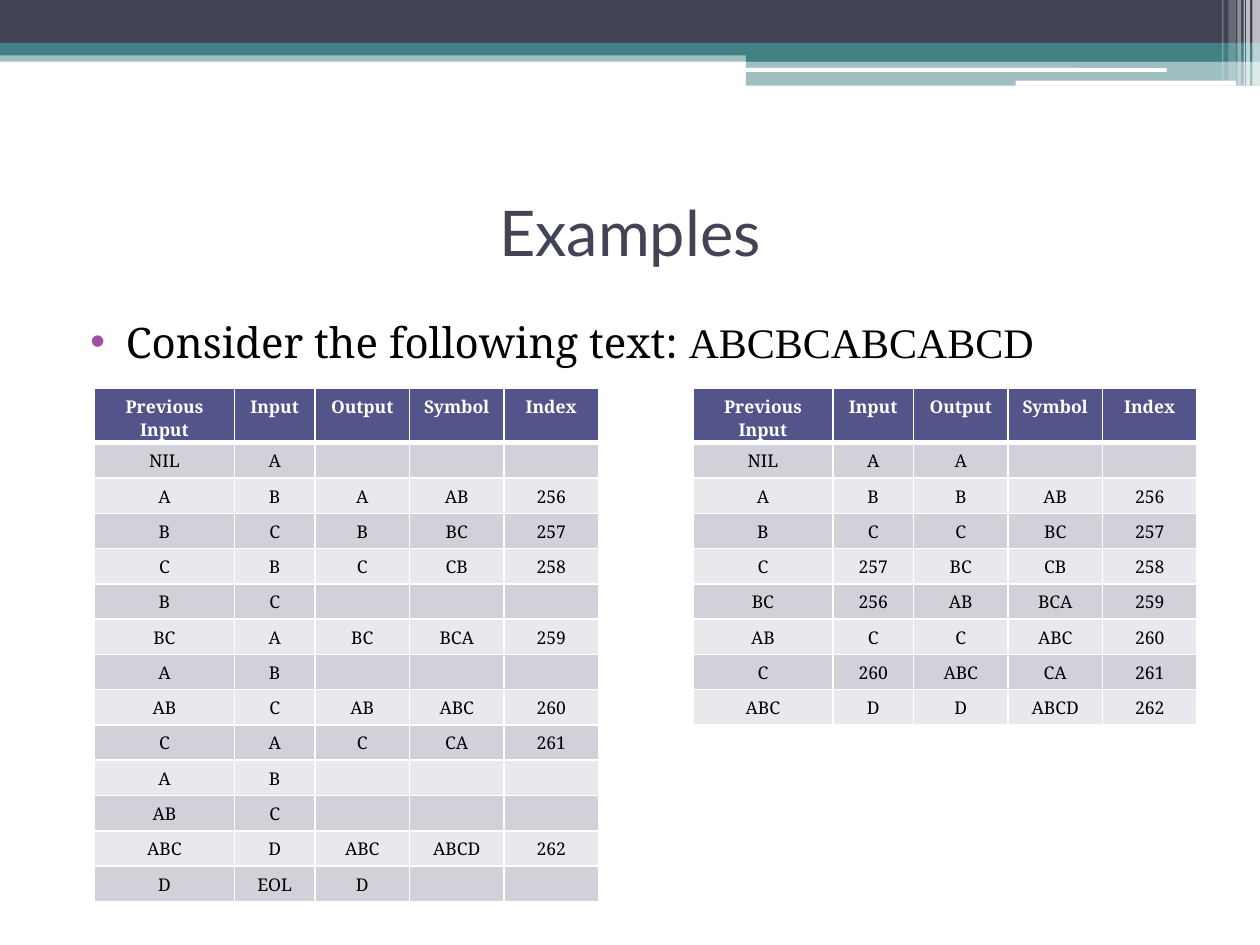
from lxml.etree import SubElement
from pptx import Presentation
from pptx.dml.color import RGBColor
from pptx.enum.shapes import MSO_SHAPE as SHAPE
from pptx.enum.text import MSO_ANCHOR as ANCHOR, PP_ALIGN as ALIGN
from pptx.oxml.ns import qn
from pptx.util import Inches, Pt

NAVY, TEAL, WHITE, BLACK = "424456", "438086", "FFFFFF", "000000"
HEADER, BANDS, BULLET = "53548A", ("E9E9ED", "D1D1DA"), "A04DA3"
SERIF = "Noto Serif"


def rgb(color):
    """Turn a hex string into a colour."""
    return RGBColor.from_string(color)


def add_fill(parent, color):
    """Add a solid fill element to an XML parent."""
    SubElement(SubElement(parent, qn("a:solidFill")), qn("a:srgbClr"), val=color)


class SlideBuilder:
    """Holds the style and the current slide."""

    col_widths = (1.11, 0.64, 0.75, 0.75, 0.75)
    row_height = 0.28
    cell_format = {"size": Pt(10), "name": SERIF}

    def __init__(self, prs):
        """Start a blank slide."""
        self.shapes = prs.slides.add_slide(prs.slide_layouts[6]).shapes

    def bar(self, x, y, w, h, color, alpha=100, rounded=False):
        """Add a plain bar, with its opacity in percent."""
        kind = SHAPE.ROUNDED_RECTANGLE if rounded else SHAPE.RECTANGLE
        sp = self.shapes.add_shape(kind, *map(Inches, (x, y, w, h)))
        sp.shadow.inherit = False
        sp.line.fill.background()
        sp.fill.solid()
        sp.fill.fore_color.rgb = rgb(color)
        if alpha < 100:
            clr = sp._element.spPr.find(qn("a:solidFill"))[0]
            SubElement(clr, qn("a:alpha"), val=str(alpha * 1000))

    def run(self, p, text, color, **fmt):
        """Add a formatted run to a paragraph."""
        r = p.add_run()
        r.text = text
        r.font.color.rgb = rgb(color)
        for key, value in fmt.items():
            setattr(r.font, key, value)

    def text(self, x, y, w, h, align, anchor=ANCHOR.TOP):
        """Add a wrapping text box and return its first paragraph."""
        tf = self.shapes.add_textbox(*map(Inches, (x, y, w, h))).text_frame
        tf.word_wrap = True
        tf.vertical_anchor = anchor
        p = tf.paragraphs[0]
        p.alignment = align
        return p

    def bullet(self, p, color, indent, hang):
        """Give a paragraph a coloured bullet and a hanging indent."""
        pPr = p._p.get_or_add_pPr()
        pPr.set("marL", str(Inches(indent)))
        pPr.set("indent", str(-Inches(hang)))
        SubElement(SubElement(pPr, qn("a:buClr")), qn("a:srgbClr"), val=color)
        SubElement(pPr, qn("a:buFont"), typeface="Arial")
        SubElement(pPr, qn("a:buChar"), char="\u2022")

    def cell(self, cell, text, row):
        """Fill, border and write one table cell."""
        tcPr = cell._tc.get_or_add_tcPr()
        thick = {0: "lnB", 1: "lnT"}.get(row)
        for side in ("lnL", "lnR", "lnT", "lnB"):
            width = Pt(3 if side == thick else 1)
            add_fill(SubElement(tcPr, qn(f"a:{side}"), w=str(width)), WHITE)
        cell.fill.solid()
        cell.fill.fore_color.rgb = rgb(BANDS[row % 2] if row else HEADER)
        p = cell.text_frame.paragraphs[0]
        p.alignment = ALIGN.CENTER
        if text:
            self.run(p, text, BLACK if row else WHITE, bold=row == 0, **self.cell_format)
        else:
            end = SubElement(p._p, qn("a:endParaRPr"), sz="1000")
            SubElement(end, qn("a:latin"), typeface=SERIF)

    def table(self, x, y, rows):
        """Add a banded table with a header row."""
        w, h = sum(self.col_widths), self.row_height * len(rows)
        size = map(Inches, (x, y, w, h))
        table = self.shapes.add_table(len(rows), len(self.col_widths), *size).table
        for col, width in zip(table.columns, self.col_widths):
            col.width = Inches(width)
        for i, values in enumerate(rows):
            table.rows[i].height = Inches(self.row_height)
            for j, value in enumerate(values):
                self.cell(table.cell(i, j), value, i)


COLUMNS = ("Previous Input", "Input", "Output", "Symbol", "Index")
ENCODING = [
    COLUMNS,
    ("NIL", "A", "", "", ""),
    ("A", "B", "A", "AB", "256"),
    ("B", "C", "B", "BC", "257"),
    ("C", "B", "C", "CB", "258"),
    ("B", "C", "", "", ""),
    ("BC", "A", "BC", "BCA", "259"),
    ("A", "B", "", "", ""),
    ("AB", "C", "AB", "ABC", "260"),
    ("C", "A", "C", "CA", "261"),
    ("A", "B", "", "", ""),
    ("AB", "C", "", "", ""),
    ("ABC", "D", "ABC", "ABCD", "262"),
    ("D", "EOL", "D", "", ""),
]
DECODING = [
    COLUMNS,
    ("NIL", "A", "A", "", ""),
    ("A", "B", "B", "AB", "256"),
    ("B", "C", "C", "BC", "257"),
    ("C", "257", "BC", "CB", "258"),
    ("BC", "256", "AB", "BCA", "259"),
    ("AB", "C", "C", "ABC", "260"),
    ("C", "260", "ABC", "CA", "261"),
    ("ABC", "D", "D", "ABCD", "262"),
]
BANNER = [
    (0, 0.4, 10, 0.09, TEAL, 50),
    (0, 0, 10, 0.34, NAVY),
    (0, 0.34, 10, 0.1, TEAL),
    (5.92, 0.39, 4.08, 0.1, TEAL),
    (5.92, 0.48, 4.08, 0.2, TEAL, 50),
    (5.91, 0.54, 3.35, 0.03, WHITE, 100, True),
    (8.06, 0.64, 1.75, 0.04, WHITE, 100, True),
]
# Left, width, height and opacity of the stripes at the right edge
STRIPES = [
    (9.94, 0.06, 0.68, 65),
    (9.89, 0.03, 0.68, 65),
    (9.87, 0.01, 0.68, 60),
    (9.82, 0.03, 0.68, 40),
    (9.75, 0.06, 0.64, 20),
    (9.7, 0.01, 0.64, 30),
]

prs = Presentation()
prs.slide_width, prs.slide_height = Inches(10), Inches(7.5)
s = SlideBuilder(prs)

for bar in BANNER:
    s.bar(*bar)
for x, w, h, alpha in STRIPES:
    s.bar(x, 0, w, h, WHITE, alpha)

p = s.text(0.5, 2.46, 9, 4.87, ALIGN.JUSTIFY)
p.space_before = Pt(3)
s.bullet(p, BULLET, 0.4, 0.28)
s.run(p, "Consider the following text: ", BLACK, size=Pt(24), name=SERIF)
s.run(p, "ABCBCABCABCD", BLACK, size=Pt(24), name="Times New Roman")

p = s.text(0.5, 1.25, 9, 1.17, ALIGN.CENTER, ANCHOR.MIDDLE)
s.run(p, "Examples", NAVY, size=Pt(36), name="Lato")

for x, rows in ((0.75, ENCODING), (5.5, DECODING)):
    s.table(x, 3.08, rows)

prs.save("out.pptx")
